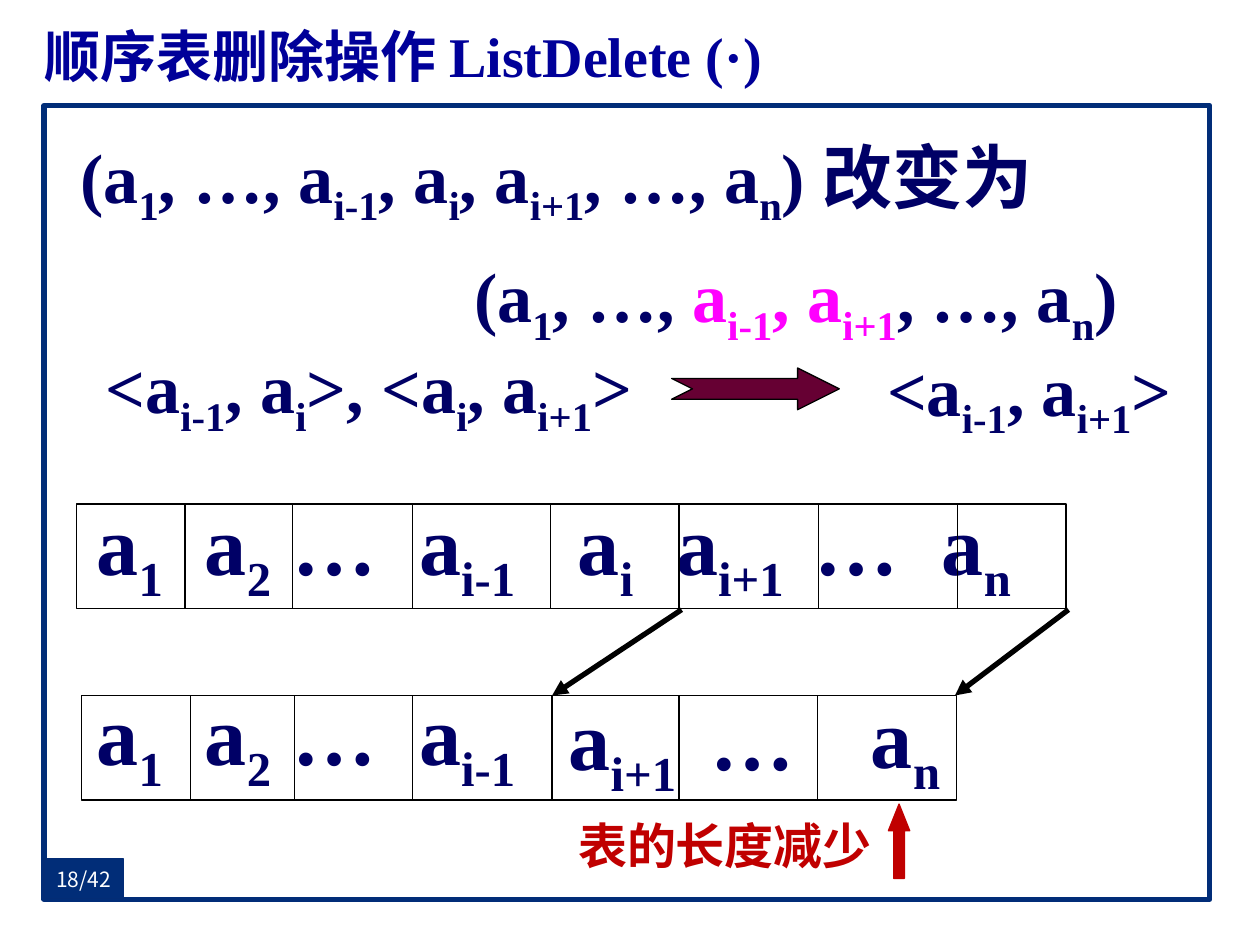
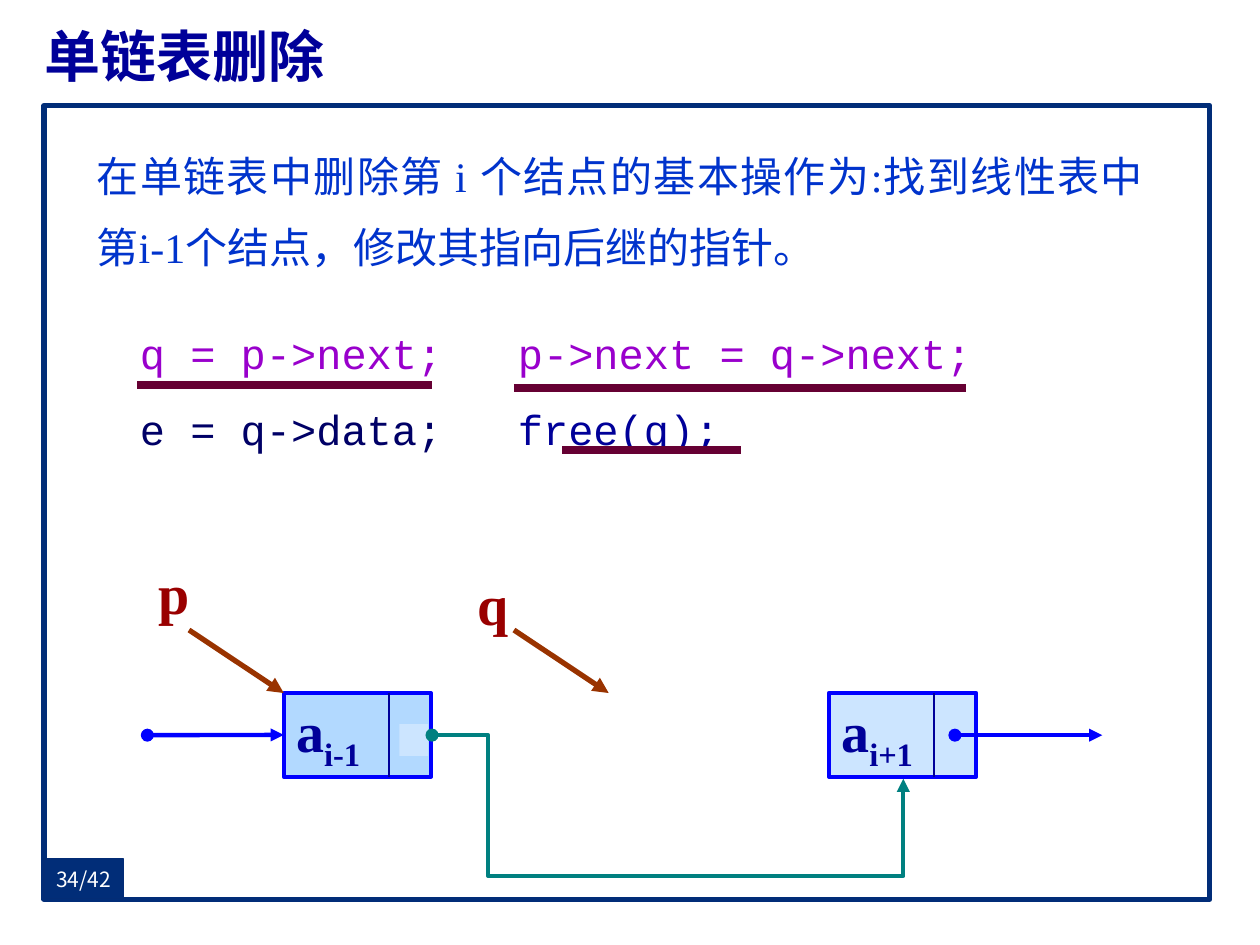
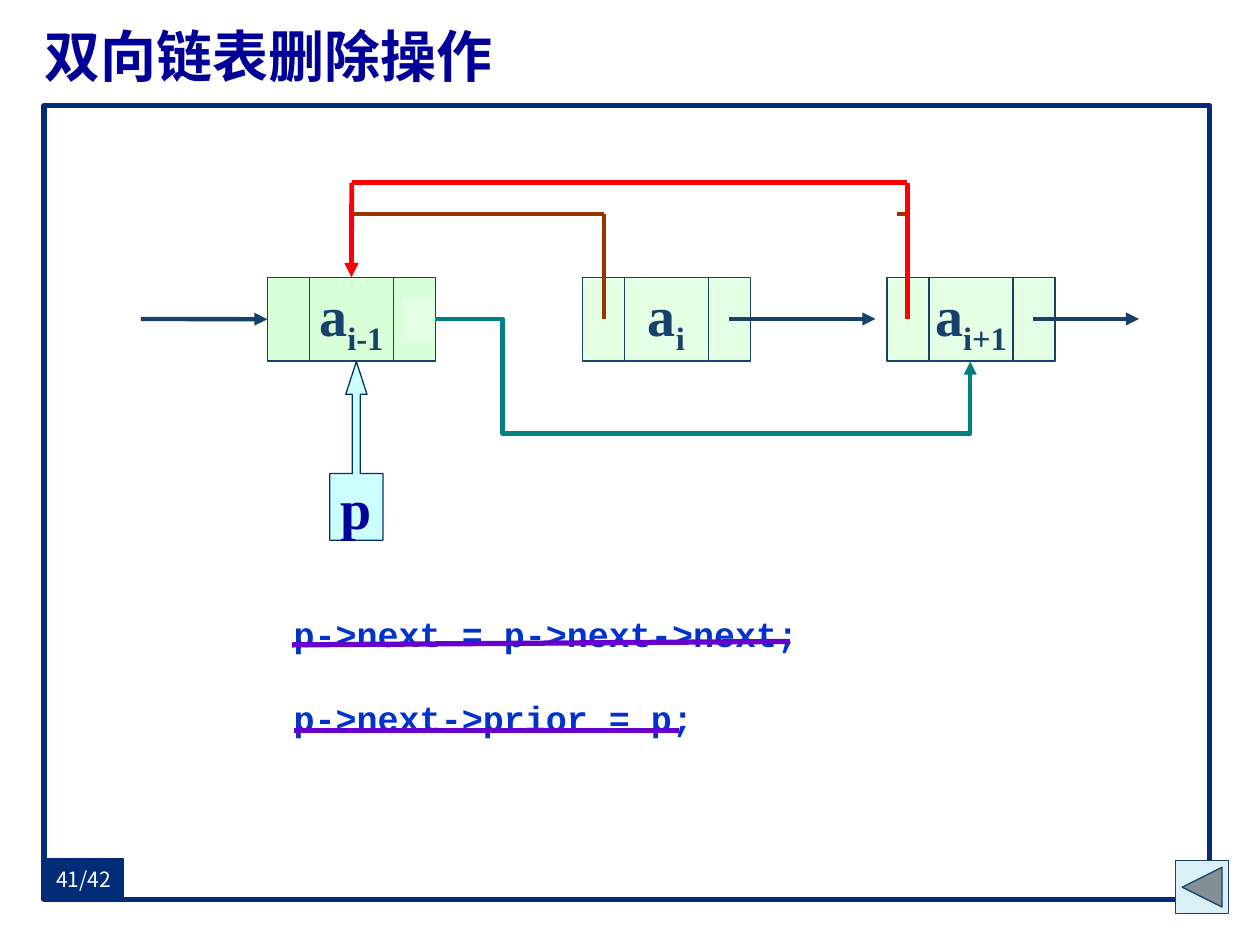
import pptx
import pptx.util
import pptx.dml.color
import pptx.enum.shapes
import pptx.enum.text
import pptx.oxml
import pptx.oxml.ns
from pptx.util import Cm

SHAPE = pptx.enum.shapes.MSO_SHAPE
CONN = pptx.enum.shapes.MSO_CONNECTOR
ALIGN = pptx.enum.text.PP_ALIGN
ANCHOR = pptx.enum.text.MSO_ANCHOR
qn = pptx.oxml.ns.qn

C = {
    "white": "FFFFFF", "black": "000000", "frame": "012D78", "page_edge": "032C75",
    "title": "000099", "ink": "000066", "pink": "FF00FF", "wine": "660033",
    "crimson": "C00000", "text_blue": "0033CC", "code_purple": "9900CC",
    "label_red": "990000", "brown": "993300", "blue": "0000FF", "teal": "008080",
    "node_blue": "B2D9FF", "pale_blue": "CCE5FF", "node_green": "D8FFD8",
    "pale_green": "E5FFE5", "navy": "17406D", "underline": "6600CC", "red": "FF0000",
    "callout": "CCFFFF", "callout_edge": "003366", "button": "DBEFF9",
}
RGB = {name: pptx.dml.color.RGBColor.from_string(value) for name, value in C.items()}
TIMES, COURIER, NOTO = "Times New Roman", "Courier New", "Noto Sans CJK SC"


def box(s, kind, x, y, w, h, paras=(), size=32, color="ink", font=TIMES, bold=True,
        align=ALIGN.LEFT, spacing=None, tabs=(), inset=None, fill=None, edge=None, weight=0.75):
    """Text box (kind None), title (kind "title") or preset shape.
    A paragraph is a list of pieces, text or (text, colour); |x| is a subscript."""
    at = [Cm(v) for v in (x, y, w, h)]
    if kind is None:
        sp = s.shapes.add_textbox(*at)
    elif kind == "title":
        sp = s.shapes.title
        sp.left, sp.top, sp.width, sp.height = at
    else:
        sp = s.shapes.add_shape(kind, *at)
        sp.shadow.inherit = False
        sp.fill.background()
        sp.line.fill.background()
    if fill:
        sp.fill.solid()
        sp.fill.fore_color.rgb = RGB[fill]
    if edge:
        sp.line.color.rgb = RGB[edge]
        sp.line.width = pptx.util.Pt(weight)
    tf = sp.text_frame
    tf.word_wrap = align != ALIGN.CENTER
    tf.vertical_anchor = ANCHOR.MIDDLE if kind else ANCHOR.TOP
    if inset is not None:
        tf.margin_left = tf.margin_right = tf.margin_top = tf.margin_bottom = Cm(inset)
    for i, pieces in enumerate(paras):
        p = tf.add_paragraph() if i else tf.paragraphs[0]
        p.alignment = align
        if spacing:
            p.line_spacing = spacing
        if tabs:
            stops = pptx.oxml.parse_xml(
                '<a:tabLst xmlns:a="http://schemas.openxmlformats.org/drawingml/2006/main">'
                + "".join(f'<a:tab pos="{int(Cm(t))}" algn="l"/>' for t in tabs) + "</a:tabLst>")
            p._p.get_or_add_pPr().append(stops)
        for piece in pieces:
            text, tint = (piece, color) if isinstance(piece, str) else piece
            for j, part in enumerate(text.split("|")):
                if not part:
                    continue
                r = p.add_run()
                r.text = part
                r.font.size = pptx.util.Pt(size)
                r.font.bold = bold
                r.font.name = font
                r.font.color.rgb = RGB[tint]
                rPr = r._r.get_or_add_rPr()
                rPr.append(rPr.makeelement(qn("a:ea"), {"typeface": NOTO}))
                if j % 2:
                    rPr.set("baseline", "-25000")
    return sp


def line(s, x1, y1, x2, y2, color="black", weight=0.75, head=None, tail=None, bend=None):
    """Straight connector, or a four-part elbow when bend gives its two adjustments."""
    kind = CONN.ELBOW if bend else CONN.STRAIGHT
    cx = s.shapes.add_connector(kind, Cm(x1), Cm(y1), Cm(x2), Cm(y2))
    cx.line.color.rgb = RGB[color]
    cx.line.width = pptx.util.Pt(weight)
    spPr = cx.element.spPr
    ln = spPr.find(qn("a:ln"))
    for tag, end in (("a:headEnd", head), ("a:tailEnd", tail)):
        if end:
            ln.append(ln.makeelement(qn(tag), {"type": end}))
    spPr.append(spPr.makeelement(qn("a:effectLst"), {}))
    if bend:
        geom = spPr.find(qn("a:prstGeom"))
        geom.set("prst", "bentConnector4")
        av = geom.find(qn("a:avLst"))
        for n, value in enumerate(bend, 1):
            av.append(av.makeelement(qn("a:gd"), {"name": f"adj{n}", "fmla": f"val {value}"}))
    return cx


prs = pptx.Presentation()
prs.slide_width, prs.slide_height = Cm(25.4), Cm(19.05)
layout = prs.slide_layouts[5]

# Titles and page numbers
slides = []
for title, page in (("顺序表删除操作 ListDelete (·)", "18/42"),
                    ("单链表删除", "34/42"),
                    ("双向链表删除操作", "41/42")):
    s = prs.slides.add_slide(layout)
    box(s, "title", 0.89, 0.33, 23.5, 1.57, [[title]], color="title",
        align=ALIGN.JUSTIFY, inset=0)
    box(s, SHAPE.RECTANGLE, 0.89, 17.32, 1.6, 0.79, [[page]], 12, "white", NOTO, None,
        ALIGN.CENTER, inset=0, fill="frame", edge="page_edge")
    slides.append(s)

# Frame shared through the layout
frame = box(slides[0], SHAPE.RECTANGLE, 0.89, 2.13, 23.5, 16, fill="white",
            edge="frame", weight=3)
layout.shapes.element.insert(2, frame.element)

# Slide 1: the sequence before and after
s = slides[0]
box(s, None, 1.37, 2.08, 21.41, 4.52,
    [["(a|1|, …, a|i-1|, a|i|, a|i+1|, …, a|n|) 改变为"],
     ["(a|1|, …,", (" a|i-1|, a|i+1", "pink"), ", …, a|n|)"]], 40, spacing=1.25
    ).text_frame.paragraphs[1].alignment = ALIGN.RIGHT
for x, y, w, pairs in ((1.63, 6.81, 11.61, "<a|i-1|, a|i|>, <a|i|, a|i+1|>"),
                       (17.45, 6.86, 6.6, "<a|i-1|, a|i+1|>")):
    box(s, None, x, y, w, 1.96, [[pairs]], 40, align=ALIGN.CENTER)
sp = box(s, SHAPE.NOTCHED_RIGHT_ARROW, 13.54, 7.42, 3.38, 0.84, fill="wine", edge="black")
sp.adjustments[0], sp.adjustments[1] = 0.5, 1

# Storage rows
cell_tabs = (2.18, 3.94, 6.5, 9.7, 11.68, 14.48, 17.04)
for x, y, w, dividers, text_y, cells in (
        (1.55, 10.16, 19.94, (3.73, 5.89, 8.31, 11.1, 13.69, 16.5, 19.3), 9.78,
         "a|1|\ta|2|\t…\ta|i-1|\ta|i|\ta|i+1|\t…\ta|n"),
        (1.65, 14.02, 17.63, (3.84, 5.94, 8.31, 11.13, 13.69, 16.48), 13.61,
         "a|1|\ta|2|\t…\ta|i-1")):
    box(s, None, 1.7, text_y, 21, 2.31, [[cells]], 48, tabs=cell_tabs)
    for divider in dividers:
        line(s, divider, y, divider, y + 2.11)
    box(s, SHAPE.RECTANGLE, x, y, w, 2.11, edge="black")
for x, y, w, cell in ((11.1, 13.72, 2.9, "a|i+1"), (14.05, 13.72, 2.24, "…"),
                      (17.25, 13.67, 2.01, "a|n")):
    box(s, None, x, y, w, 2.31, [[cell]], 48, align=ALIGN.CENTER)

# Moves and shortened length
for x1, x2 in ((13.74, 11.13), (21.54, 19.25)):
    line(s, x1, 12.29, x2, 14.02, weight=3, tail="triangle")
box(s, None, 11.35, 16.31, 6.53, 1.45, [["表的长度减少"]], 28, "crimson", NOTO,
    align=ALIGN.CENTER)
sp = box(s, SHAPE.UP_ARROW, 17.91, 16.21, 0.43, 1.5, fill="crimson", edge="crimson")
sp.adjustments[0], sp.adjustments[1] = 0.5, 1.25

# Slide 2: explanation and code
s = slides[1]
box(s, None, 1.7, 2.51, 21.59, 3.12,
    [["在单链表中删除第 i 个结点的基本操作为:找到线性表中第i-1个结点，修改其指向后继的指针。"]],
    24, "text_blue", bold=False, align=ALIGN.JUSTIFY, spacing=1.4)
box(s, None, 2.57, 5.97, 19.5, 3.2,
    [["q = p->next;\tp->next = q->next;"],
     [("e = q->data;\t", "ink"), ("free(q);", "title")]],
    24, "code_purple", COURIER, False, spacing=1.5, tabs=(7.62, 8.64))
for x1, x2, y in ((2.77, 8.71, 7.77), (10.36, 19.48, 7.82), (11.33, 14.94, 9.07)):
    line(s, x1, y, x2, y, "wine", 4.5)

# Nodes and links
nodes = []
for x, name, fill in ((5.72, "a|i-1", "node_blue"), (16.71, "a|i+1", "pale_blue")):
    nodes.append(box(s, SHAPE.RECTANGLE, x, 13.97, 2.97, 1.69, [[name]], color="title",
                     fill=fill, edge="blue", weight=2.25))
    line(s, x + 2.12, 13.97, x + 2.12, 15.66, "title")
box(s, SHAPE.RECTANGLE, 8.05, 14.6, 0.58, 0.64, fill="pale_blue")
line(s, 2.97, 14.82, 5.72, 14.82, "blue", 2.5, "oval", "triangle").end_connect(nodes[0], 1)
line(s, 19.25, 14.82, 22.22, 14.82, "blue", 2.5, "oval", "triangle")
line(s, 8.71, 14.82, 18.21, 15.7, "teal", 2.5, "oval", "triangle", (11900, 322400))

# Pointers p and q
for name, x, y, arrow_x in (("p", 2.95, 11.13, 3.81), ("q", 9.37, 11.35, 10.36)):
    line(s, arrow_x, 12.7, arrow_x + 1.91, 13.97, "brown", 3, tail="triangle")
    box(s, None, x, y, 1.14, 1.63, [[name]], color="label_red", align=ALIGN.CENTER)

# Slide 3: doubly linked nodes
s = slides[2]
nodes = []
for x, name, fill in ((5.39, "a|i-1", "node_green"), (11.74, "a|i", "pale_green"),
                      (17.88, "a|i+1", "pale_green")):
    nodes.append(box(s, SHAPE.RECTANGLE, x, 5.59, 3.39, 1.69, [[name]], color="navy",
                     align=ALIGN.CENTER, fill=fill, edge="navy"))
    for divider in (x + 0.85, x + 2.54):
        line(s, divider, 5.59, divider, 7.28, "navy")
box(s, SHAPE.RECTANGLE, 8.13, 6.02, 0.61, 0.85, fill="pale_green")

# Forward links
line(s, 2.84, 6.43, 5.39, 6.43, "navy", 2.5, tail="triangle").end_connect(nodes[0], 1)
for x1, x2 in ((14.7, 17.65), (20.83, 22.96)):
    line(s, x1, 6.43, x2, 6.43, "navy", 2.5, tail="triangle")
line(s, 8.76, 6.43, 19.56, 7.29, "teal", 2.5, tail="triangle", bend=(12700, 268800))

# Backward links
for x1, y1, x2, y2 in ((12.17, 6.43, 12.17, 4.32), (12.17, 4.32, 7.09, 4.32),
                       (18.08, 4.32, 18.29, 4.32)):
    line(s, x1, y1, x2, y2, "brown", 2.5)
line(s, 18.29, 6.43, 18.29, 3.68, "red", 2.75)
line(s, 18.29, 3.68, 7.09, 3.68, "red", 2.75)
line(s, 7.09, 3.68, 7.09, 5.59, "red", 2.75, tail="triangle").end_connect(nodes[0], 0)

# Pointer p
sp = box(s, SHAPE.UP_ARROW_CALLOUT, 6.65, 7.29, 1.07, 3.6, [["p"]], color="title",
         align=ALIGN.CENTER, fill="callout", edge="callout_edge")
for i, value in enumerate((0.15, 0.2, 0.617, 0.373)):
    sp.adjustments[i] = value

# Code with underlines
box(s, None, 5.67, 11.38, 11.5, 3.45,
    [["p->next = p->next->next;"], ["p->next->prior = p;"]],
    20, "text_blue", COURIER, spacing=2)
line(s, 5.89, 13, 15.93, 12.93, "underline", 3)
line(s, 5.92, 14.73, 13.69, 14.73, "underline", 3)

# Back button
box(s, SHAPE.ACTION_BUTTON_BACK_OR_PREVIOUS, 23.7, 17.35, 1.07, 1.07,
    fill="button", edge="navy")

prs.save("out.pptx")
